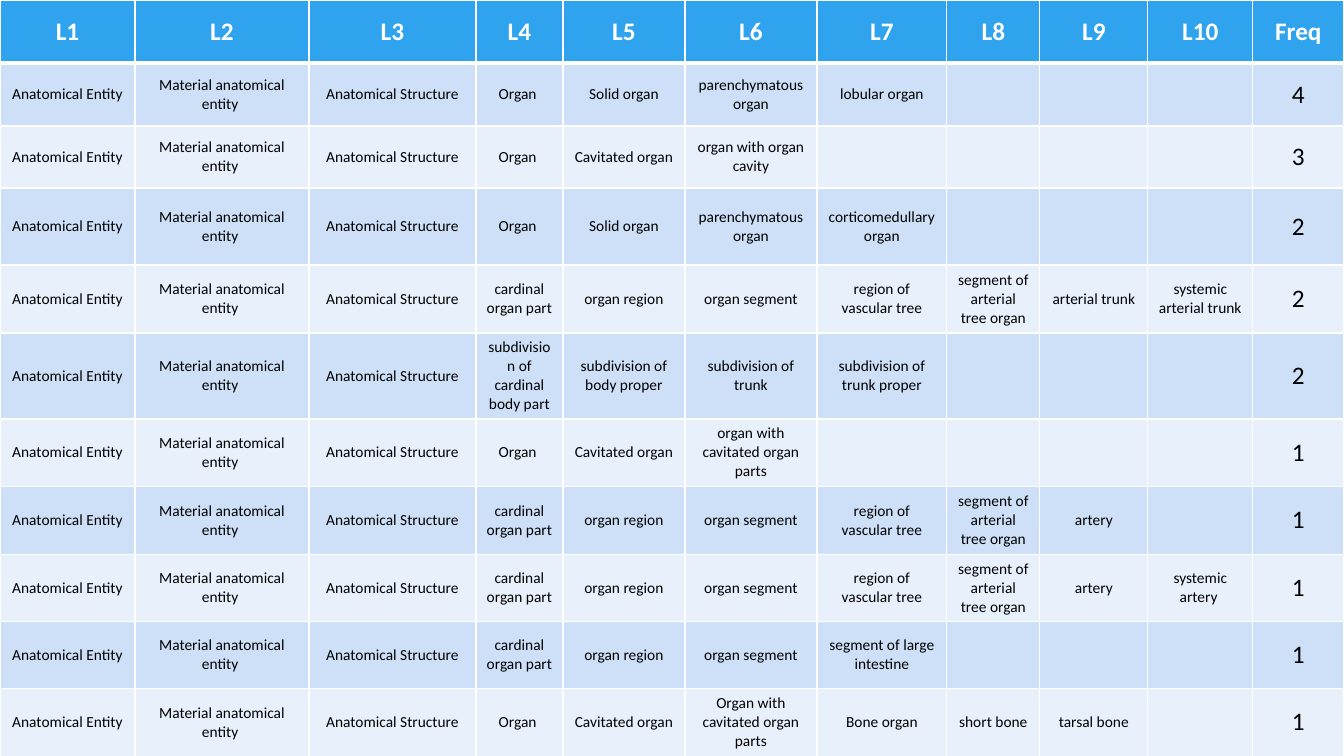
from dataclasses import dataclass

from lxml import etree
from pptx import Presentation
from pptx.dml.color import RGBColor
from pptx.enum.text import MSO_ANCHOR, PP_ALIGN
from pptx.oxml.ns import qn
from pptx.util import Emu, Pt

MIDDLE = MSO_ANCHOR.MIDDLE
CENTER = PP_ALIGN.CENTER
BLANK_LAYOUT = 6
PX_PER_INCH = 100.8
SLIDE_WIDTH, SLIDE_HEIGHT = 1344, 756

COLUMN_WIDTHS = [135, 174, 167, 87, 122, 132, 130, 93, 108, 105, 91]
ROW_HEIGHTS = [63, 63, 62, 77, 68, 86, 67, 68, 67, 67, 68]

HEADINGS = [f"L{level}" for level in range(1, 11)] + ["Freq"]
ROOT_LEVELS = ["Anatomical Entity", "Material anatomical entity ", "Anatomical Structure"]
SOLID = ["Organ ", "Solid organ", "parenchymatous organ"]
CAVITATED = ["Organ ", "Cavitated organ"]
SEGMENT = ["cardinal organ part", "organ region", "organ segment"]
ARTERIAL = SEGMENT + ["region of vascular tree", "segment of arterial tree organ"]

# Levels from L4 down, with the frequency of each path
PATHS = [
    (SOLID + ["lobular organ"], 4),
    (CAVITATED + ["organ with organ cavity"], 3),
    (SOLID + ["corticomedullary organ"], 2),
    (ARTERIAL + ["arterial trunk", "systemic arterial trunk"], 2),
    (["subdivision of cardinal body part", "subdivision of body proper",
      "subdivision of trunk", "subdivision of trunk proper"], 2),
    (CAVITATED + ["organ with cavitated organ parts"], 1),
    (ARTERIAL + ["artery"], 1),
    (ARTERIAL + ["artery", "systemic artery "], 1),
    (SEGMENT + ["segment of large intestine"], 1),
    (CAVITATED + ["Organ with cavitated organ parts", "Bone organ",
                  "short bone", "tarsal bone"], 1),
]


@dataclass(frozen=True)
class Theme:
    font: str = "Calibri"
    large: int = 18
    small: int = 11
    header: str = "2FA3EE"
    bands: tuple = ("CDE0F8", "E8F0FC")
    light: str = "FFFFFF"
    dark: str = "000000"
    backdrop: tuple = ("FFFFFF", "B9B9B9")
    thin: int = 1
    thick: int = 3


def px(length):
    return Emu(round(length * 914400 / PX_PER_INCH))


class SlideBuilder:
    def __init__(self, page, theme):
        self.page = page
        self.theme = theme

    def background(self):
        fill = self.page.background.fill
        fill.gradient()
        fill.gradient_angle = 270
        for position, (stop, color) in enumerate(zip(fill.gradient_stops, self.theme.backdrop)):
            stop.position = position
            stop.color.rgb = RGBColor.from_string(color)

    def table(self, left, top, widths, heights):
        frame = self.page.shapes.add_table(
            len(heights), len(widths), px(left), px(top), px(sum(widths)), px(sum(heights)))
        table = frame.table
        for column, width in zip(table.columns, widths):
            column.width = px(width)
        for row, height in zip(table.rows, heights):
            row.height = px(height)
        return table

    def borders(self, cell, **weights):
        properties = cell._tc.get_or_add_tcPr()
        for side in "LRTB":
            weight = weights.get(side, self.theme.thin)
            line = etree.SubElement(properties, qn(f"a:ln{side}"), w=str(Pt(weight)))
            solid = etree.SubElement(line, qn("a:solidFill"))
            etree.SubElement(solid, qn("a:srgbClr"), val=self.theme.light)

    def cell(self, cell, text, fill, size, color, bold=False, **weights):
        self.borders(cell, **weights)
        cell.fill.solid()
        cell.fill.fore_color.rgb = RGBColor.from_string(fill)
        cell.vertical_anchor = MIDDLE
        if not text:
            return
        para = cell.text_frame.paragraphs[0]
        para.alignment = CENTER
        span = para.add_run()
        span.text = text
        style = {"name": self.theme.font, "size": Pt(size), "bold": bold}
        for name, value in style.items():
            setattr(span.font, name, value)
        span.font.color.rgb = RGBColor.from_string(color)

    def hierarchy(self):
        theme = self.theme
        table = self.table(0, 0, COLUMN_WIDTHS, ROW_HEIGHTS)
        for column, heading in enumerate(HEADINGS):
            self.cell(table.cell(0, column), heading, theme.header, theme.large,
                      theme.light, bold=True, B=theme.thick)
        frequency_column = len(HEADINGS) - 1
        for row, (levels, frequency) in enumerate(PATHS, start=1):
            texts = ROOT_LEVELS + levels
            texts += [""] * (frequency_column - len(texts)) + [str(frequency)]
            band = theme.bands[(row - 1) % 2]
            top = theme.thick if row == 1 else theme.thin
            for column, text in enumerate(texts):
                size = theme.large if column == frequency_column else theme.small
                self.cell(table.cell(row, column), text, band, size, theme.dark, T=top)


def main():
    deck = Presentation()
    deck.slide_width, deck.slide_height = px(SLIDE_WIDTH), px(SLIDE_HEIGHT)
    page = deck.slides.add_slide(deck.slide_layouts[BLANK_LAYOUT])
    builder = SlideBuilder(page, Theme())
    builder.background()
    builder.hierarchy()
    deck.save("out.pptx")


if __name__ == "__main__":
    main()
